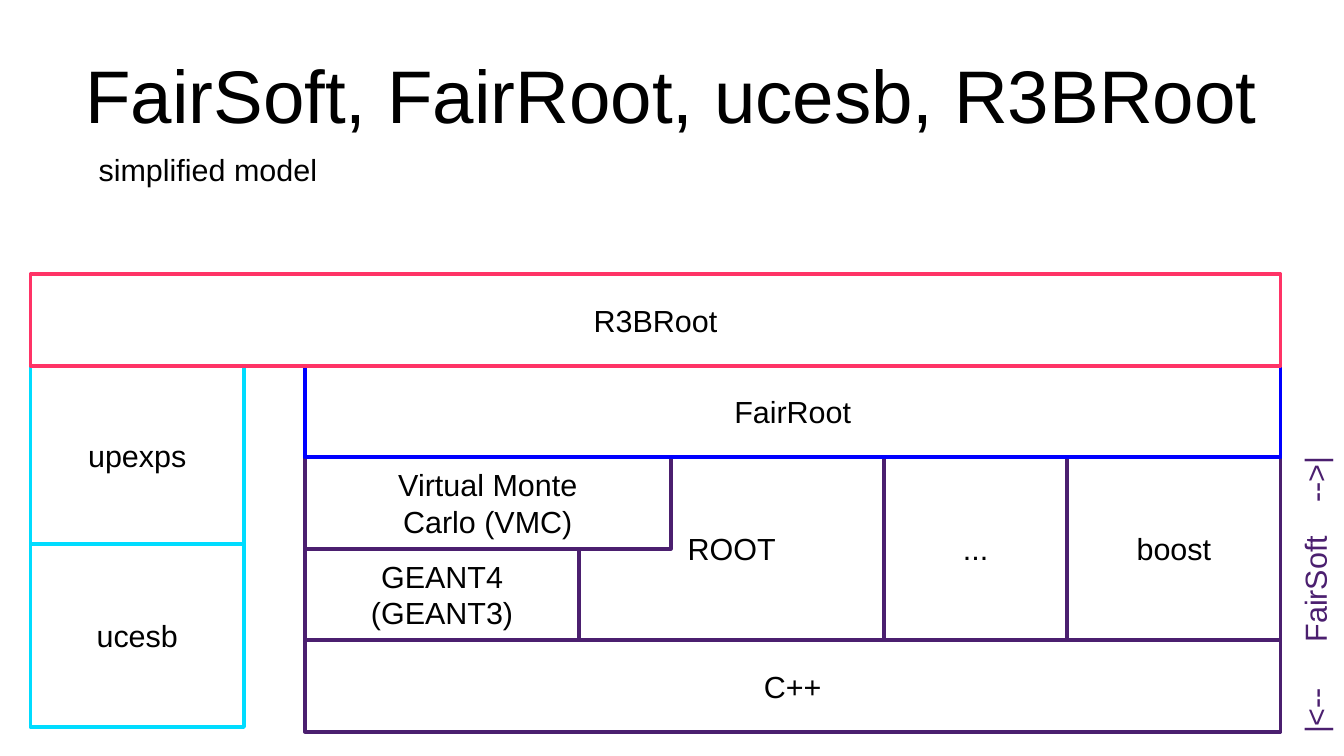
"""Build the layered software stack slide."""
from lxml import etree
from pptx import Presentation
from pptx import util as u
from pptx.dml.color import RGBColor
from pptx.enum import shapes, text
from pptx.oxml.ns import qn

COLORS = {"ink": "000000", "paper": "FFFFFF", "fairsoft": "4B1F6F",
          "fairroot": "0000FF", "unpacker": "00DCFF", "r3broot": "FF3366"}
COL, ROW = 0.25, 0.75


class Deck:
    """Hold the style and the current slide."""

    def __init__(self, prs):
        """Add a title-only slide."""
        self.s = prs.slides.add_slide(prs.slide_layouts[5])

    def color(self, name):
        """Return a named colour."""
        return RGBColor.from_string(COLORS[name])

    def grid(self, col, row, cols, rows):
        """Turn grid cells into lengths."""
        return [u.Inches(v) for v in (col * COL, row * ROW, cols * COL, rows * ROW)]

    def add_lines(self, tf, lines, size=18, color="ink", align=text.PP_ALIGN.CENTER):
        """Add one paragraph per line."""
        for i, line in enumerate(lines):
            p = tf.add_paragraph() if i else tf.paragraphs[0]
            p.alignment = align
            r = p.add_run()
            r.text = line
            r.font.name, r.font.size = "Arial", u.Pt(size)
            r.font.color.rgb = self.color(color)

    def title(self, words, *cells):
        """Place and fill the title placeholder."""
        sp = self.s.shapes.title
        sp.left, sp.top, sp.width, sp.height = self.grid(*cells)
        tf = sp.text_frame
        tf.margin_left = tf.margin_right = tf.margin_top = tf.margin_bottom = 0
        tf.vertical_anchor = text.MSO_ANCHOR.MIDDLE
        tf.auto_size = text.MSO_AUTO_SIZE.NONE
        self.add_lines(tf, [words], 44)

    def block(self, lines, color, *cells):
        """Draw an outlined block with a centred label."""
        sp = self.s.shapes.add_shape(shapes.MSO_SHAPE.RECTANGLE, *self.grid(*cells))
        sp.shadow.inherit = False
        sp.fill.solid()
        sp.fill.fore_color.rgb = self.color("paper")
        sp.line.color.rgb = self.color(color)
        sp.line.width = u.Pt(2.3)
        tf = sp.text_frame
        tf.word_wrap = False
        tf.vertical_anchor = text.MSO_ANCHOR.MIDDLE
        self.add_lines(tf, lines)

    def label(self, words, color, *cells, rotation=0, tabs=()):
        """Add a left-aligned text box with optional tab stops."""
        sp = self.s.shapes.add_textbox(*self.grid(*cells))
        sp.rotation = rotation
        tf = sp.text_frame
        tf.word_wrap = bool(tabs)
        self.add_lines(tf, [words], color=color, align=text.PP_ALIGN.LEFT)
        if tabs:
            stops = etree.SubElement(tf.paragraphs[0]._p.get_or_add_pPr(), qn("a:tabLst"))
            for tab in tabs:
                etree.SubElement(stops, qn("a:tab"), pos=str(u.Inches(tab * COL)), algn="l")


BLOCKS = [
    (["C++"], "fairsoft", 10, 7, 32, 1),
    (["boost"], "fairsoft", 35, 5, 7, 2),
    (["GEANT4", "(GEANT3)"], "fairsoft", 10, 6, 9, 1),
    (["ROOT"], "fairsoft", 19, 5, 10, 2),
    (["..."], "fairsoft", 29, 5, 6, 2),
    (["Virtual Monte", "Carlo (VMC)"], "fairsoft", 10, 5, 12, 1),
    (["FairRoot"], "fairroot", 10, 4, 32, 1),
    (["ucesb"], "unpacker", 1, 5.95, 7, 2),
    (["upexps"], "unpacker", 1, 4, 7, 1.95),
    (["R3BRoot"], "r3broot", 1, 3, 41, 1),
]

prs = Presentation()
prs.slide_width, prs.slide_height = u.Inches(11.02), u.Inches(6.2)
deck = Deck(prs)
deck.title("FairSoft, FairRoot, ucesb, R3BRoot", 2.2, 0.33, 39.68, 1.39)
for block in BLOCKS:
    deck.block(*block)
deck.label("|<--\tFairSoft\t-->|", "fairsoft", 38.64, 6.05, 10, 0.88,
           rotation=270, tabs=(3, 7.6))
deck.label("simplified model", "ink", 2.84, 1.59, 7.96, 0.51)
prs.save("out.pptx")
